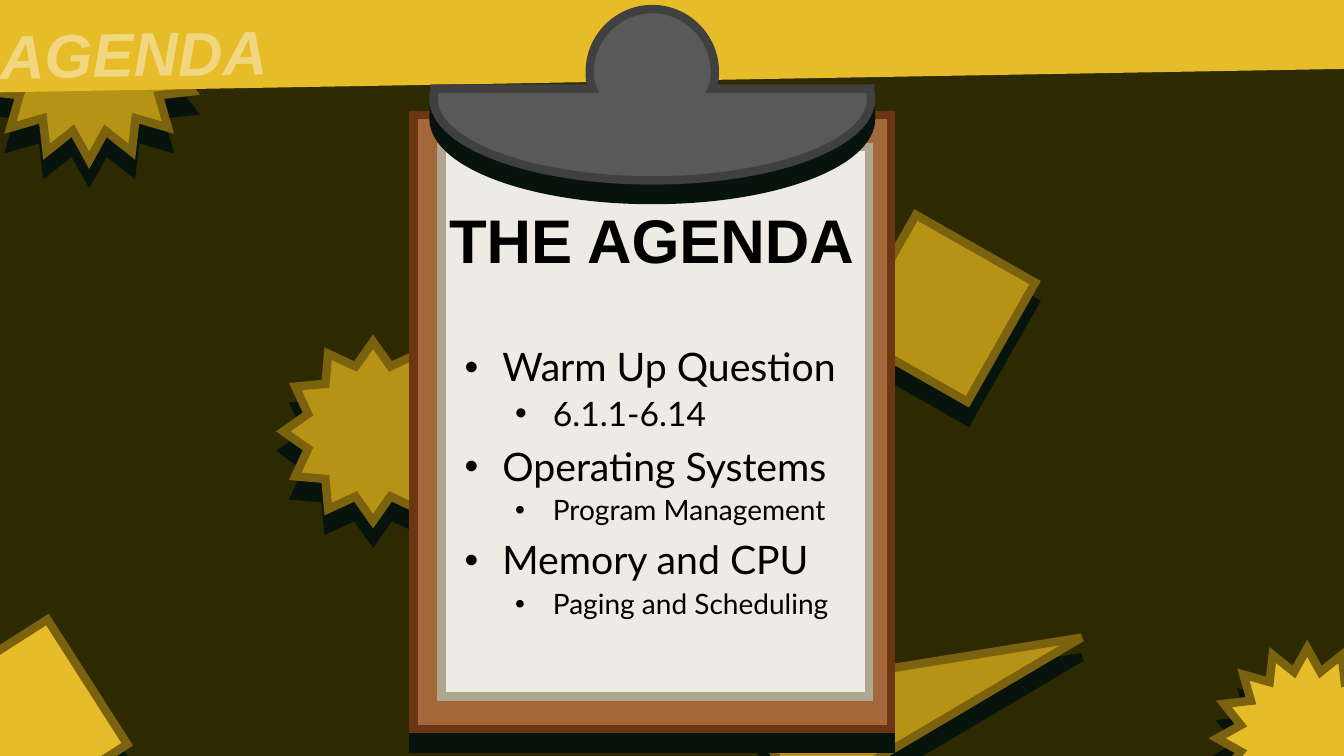
from dataclasses import dataclass

from lxml import etree
from pptx import Presentation
from pptx.dml.color import RGBColor
from pptx.enum.shapes import MSO_SHAPE
from pptx.enum.text import MSO_AUTO_SIZE, PP_ALIGN
from pptx.oxml import parse_xml
from pptx.oxml.ns import nsdecls, qn
from pptx.util import Inches, Pt

RECT = MSO_SHAPE.RECTANGLE
STAR12 = MSO_SHAPE.STAR_12_POINT
STAR16 = MSO_SHAPE.STAR_16_POINT
WEDGE = MSO_SHAPE.RIGHT_TRIANGLE
GROW = MSO_AUTO_SIZE.SHAPE_TO_FIT_TEXT
LEFT, CENTER = PP_ALIGN.LEFT, PP_ALIGN.CENTER


@dataclass
class Theme:
    back: str = "2D2901"
    gold: str = "E7BC29"
    ochre: str = "B79315"
    rim: str = "7A620E"
    shade: str = "06140D"
    wood: str = "A4673A"
    bark: str = "6C3612"
    paper: str = "EDEBE3"
    edge: str = "AEA890"
    clip: str = "595959"
    steel: str = "404040"
    pale: str = "F1D77F"
    ink: str = "000000"
    head: str = "Arial"
    body: str = "Lato"
    title: int = 44
    item: int = 28
    range: int = 24
    topic: int = 20


theme = Theme()


def paint(shape, fill, line=None, shade=True):
    """Give a shape its fill, mitred outline and hard drop shadow."""
    shape.fill.solid()
    shape.fill.fore_color.rgb = RGBColor.from_string(fill)
    if line:
        shape.line.color.rgb = RGBColor.from_string(line)
        shape.line.width = Pt(6)
        etree.SubElement(shape.line._ln, qn("a:miter"), lim="800000")
    else:
        shape.line.fill.background()
    shape.shadow.inherit = False
    if shade:
        effects = shape._element.spPr.find(qn("a:effectLst"))
        effects.append(parse_xml(
            f'<a:outerShdw {nsdecls("a")} dist="{Pt(14)}" dir="5400000" '
            f'algn="t" rotWithShape="0"><a:srgbClr val="{theme.shade}"/></a:outerShdw>'))


def banner(parent, text, place, color, align, slant=False):
    """Add a large outlined heading."""
    box = parent.add_textbox(*map(Inches, place))
    frame = box.text_frame
    frame.word_wrap = True
    frame.auto_size = GROW
    para = frame.paragraphs[0]
    para.alignment = align
    run = para.add_run()
    run.text = text
    font = para.font
    font.name, font.size = theme.head, Pt(theme.title)
    font.bold, font.italic = True, slant
    font.color.rgb = RGBColor.from_string(color)
    run._r.get_or_add_rPr().insert(0, parse_xml(
        f'<a:ln {nsdecls("a")} w="{Pt(1.5)}"><a:solidFill>'
        f'<a:srgbClr val="{color}"/></a:solidFill></a:ln>'))
    return box


deck = Presentation()
deck.slide_width, deck.slide_height = Inches(13.33), Inches(7.5)
slide = deck.slides.add_slide(deck.slide_layouts[6])
slide.background.fill.solid()
slide.background.fill.fore_color.rgb = RGBColor.from_string(theme.back)
shapes = slide.shapes

# Scattered pieces, with the tilted band between the two layers
rear = [
    (RECT, (8.66, 2.38, 1.36, 1.36), 29.6),
    (STAR12, (2.81, 3.39, 1.78, 1.78), 0),
    (WEDGE, (7.42, 5.97, 3.21, 1.26), 329.4),
    (STAR16, (-0.22, -0.62, 2.21, 2.21), 0),
]
front = [
    (RECT, (-0.57, 6.45, 1.56, 1.47), 327.4),
    (STAR16, (12.07, 6.43, 1.79, 1.79), 0),
]
for layer, fill in ((rear, theme.ochre), (front, theme.gold)):
    if layer is front:
        band = shapes.add_group_shape().shapes
    for kind, place, turn in layer:
        piece = shapes.add_shape(kind, *map(Inches, place))
        piece.rotation = turn
        paint(piece, fill, theme.rim)

# Band and its label
strip = band.add_shape(RECT, *map(Inches, (-0.22, -0.68, 13.86, 1.48)))
strip.rotation = 359
paint(strip, theme.gold, shade=False)
label = banner(band, "AGENDA", (-0.1, -0.01, 15.87, 0.84), theme.pale, LEFT, True)
label.rotation = 359

# Clipboard and paper
board = shapes.add_group_shape().shapes
wood = board.add_shape(RECT, *map(Inches, (4.1, 1.14, 4.74, 6.09)))
paint(wood, theme.wood, theme.bark)
sheet = board.add_shape(RECT, *map(Inches, (4.38, 1.46, 4.24, 5.45)))
paint(sheet, theme.paper, theme.edge, shade=False)

# Clip: right half from top to bottom, then its mirror image back up
axis = 6.47
half = [
    (axis, 0.09), (6.81, 0.09), (7.09, 0.37), (7.09, 0.71),
    (7.09, 0.75), (7.09, 0.79), (7.08, 0.83),
    (7.06, 0.88), (8.63, 0.88), (8.63, 0.89),
    (8.64, 0.92), (8.64, 0.95), (8.64, 0.98),
    (8.64, 1.43), (7.67, 1.79), (axis, 1.79),
]
whole = half + [(2 * axis - x, y) for x, y in half[-2::-1]]
points = [(Inches(x), Inches(y)) for x, y in whole]
outline = board.build_freeform(*points[0])
outline.add_line_segments(points[1:], close=True)
clip = outline.convert_to_shape()

# Turn each run of three clip points that forms a curve into one Bézier
steps = iter(list(clip._element.iter(qn("a:lnTo"))))
for kind in "CCLLLCC" * 2:
    step = next(steps)
    if kind == "C":
        curve = etree.Element(qn("a:cubicBezTo"))
        step.addprevious(curve)
        for part in (step, next(steps), next(steps)):
            curve.append(part[0])
            part.getparent().remove(part)
paint(clip, theme.clip, theme.steel)

# Heading on the paper
banner(shapes, "THE AGENDA", (4.19, 1.95, 4.55, 0.84), theme.ink, CENTER)

# Agenda list: text, level, size
items = [
    ("Warm Up Question", 0, theme.item),
    ("6.1.1-6.14", 1, theme.range),
    ("Operating Systems", 0, theme.item),
    ("Program Management", 1, theme.topic),
    ("Memory and CPU", 0, theme.item),
    ("Paging and Scheduling", 1, theme.topic),
]
frame = shapes.add_textbox(*map(Inches, (4.51, 3.4, 4.18, 3.68))).text_frame
frame.word_wrap = True
for index, (text, level, size) in enumerate(items):
    para = frame.add_paragraph() if index else frame.paragraphs[0]
    para.text, para.level = text, level
    para.line_spacing = 0.9
    para.space_before = Pt(5 if level else 10)
    props = para._p.get_or_add_pPr()
    props.set("marL", str(Pt(27 + 36 * level)))
    props.set("indent", str(Pt(-27)))
    etree.SubElement(props, qn("a:buFont"), typeface=theme.head)
    etree.SubElement(props, qn("a:buChar"), char="•")
    para.font.name, para.font.size = theme.body, Pt(size)
    para.font.color.rgb = RGBColor.from_string(theme.ink)

deck.save("out.pptx")
